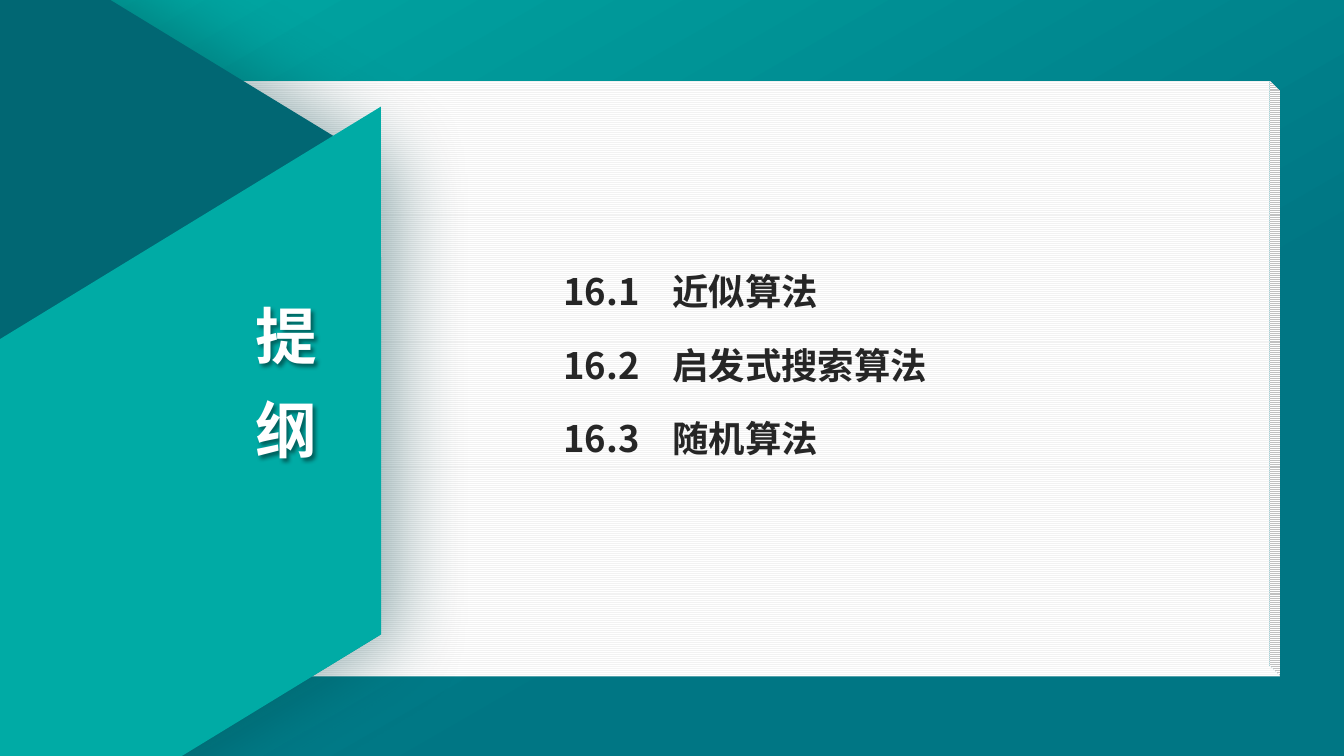
from lxml import etree
from pptx import Presentation, util as u
from pptx.dml.color import RGBColor
from pptx.enum import dml, shapes, text
from pptx.oxml import ns

COLORS = {
    "teal": "00ABA5",
    "deep_teal": "007684",
    "dark_teal": "016773",
    "panel_shadow": "013F45",
    "stripe": "F2F2F2",
    "white": "FFFFFF",
    "black": "000000",
    "ink": "262626",
}
FONT = "Noto Sans CJK SC"
TOPICS = [("16.1", "近似算法"), ("16.2", "启发式搜索算法"), ("16.3", "随机算法")]


def color(name):
    return RGBColor.from_string(COLORS[name])


def add_child(parent, tag, **attributes):
    child = etree.SubElement(parent, ns.qn(tag))
    for key, value in attributes.items():
        child.set(key, str(value))
    return child


def fill_gradient(fill, stops, angle):
    """Two (position, colour) stops; the angle runs clockwise."""
    fill.gradient()
    fill.gradient_angle = 360 - angle
    for stop, (position, name) in zip(fill.gradient_stops, stops):
        stop.position = position
        stop.color.rgb = color(name)


def add_shadow(shape, name, opacity, blur, distance, angle):
    effects = add_child(shape._element.spPr, "a:effectLst")
    shadow = add_child(effects, "a:outerShdw", blurRad=u.Pt(blur), dist=u.Pt(distance),
                       dir=angle * 60000, algn="tl", rotWithShape=0)
    shade = add_child(shadow, "a:srgbClr", val=COLORS[name])
    add_child(shade, "a:alpha", val=opacity * 1000)


def add_panel(slide, kind, box, adjustments, rotation=0):
    shape = slide.shapes.add_shape(kind, *map(u.Inches, box))
    for index, value in enumerate(adjustments):
        shape.adjustments[index] = value
    shape.rotation = rotation
    shape.line.fill.background()
    return shape


def style_font(paragraph, size, name):
    font = paragraph.font
    font.name, font.size, font.bold = FONT, u.Pt(size), True
    font.color.rgb = color(name)
    add_child(font._element, "a:ea", typeface=FONT)


def add_title(slide, words, box):
    title = slide.shapes.title
    title.left, title.top, title.width, title.height = map(u.Inches, box)
    slide.shapes._spTree.append(title._element)  # bring in front of the panels
    frame = title.text_frame
    frame.text = words
    frame.auto_size = text.MSO_AUTO_SIZE.NONE
    frame.vertical_anchor = text.MSO_ANCHOR.MIDDLE
    frame.margin_left = frame.margin_right = frame.margin_top = frame.margin_bottom = 0
    for paragraph in frame.paragraphs:
        paragraph.alignment = text.PP_ALIGN.CENTER
        paragraph.line_spacing = u.Pt(67)
        paragraph.space_before = u.Pt(0)
        style_font(paragraph, 44, "white")
    add_shadow(title, "black", 43, 3, 3, 45)


def add_outline(slide, topics, box):
    frame = slide.shapes.add_textbox(*map(u.Inches, box)).text_frame
    frame.word_wrap = True
    frame.auto_size = text.MSO_AUTO_SIZE.SHAPE_TO_FIT_TEXT
    frame.margin_top = 0
    for index, (number, topic) in enumerate(topics):
        paragraph = frame.add_paragraph() if index else frame.paragraphs[0]
        paragraph.text = f"{number}\t{topic}"
        paragraph.line_spacing = 1.5
        paragraph.space_before = u.Pt(6)
        tabs = add_child(paragraph._p.get_or_add_pPr(), "a:tabLst")
        add_child(tabs, "a:tab", pos=u.Inches(1.08), algn="l")
        style_font(paragraph, 26, "ink")


def main():
    presentation = Presentation()
    presentation.slide_width = u.Inches(13.33)
    presentation.slide_height = u.Inches(7.5)
    slide = presentation.slides.add_slide(presentation.slide_layouts[5])
    fill_gradient(slide.background.fill, [(0, "teal"), (0.67, "deep_teal")], 60)

    # Striped paper block
    paper = add_panel(slide, shapes.MSO_SHAPE.CUBE, (0, 0.8, 12.7, 5.91), [0.018])
    paper._element.spPr.xfrm.set("flipV", "1")
    paper.shadow.inherit = False
    paper.fill.patterned()
    paper.fill.pattern = dml.MSO_PATTERN.LIGHT_HORIZONTAL
    paper.fill.fore_color.rgb = color("stripe")
    paper.fill.back_color.rgb = color("white")

    # Folded panels on the left
    hexagon = add_panel(slide, shapes.MSO_SHAPE.HEXAGON, (-6.21, -0.79, 10.46, 9.51),
                        [0.305, 1.155], 90)
    fill_gradient(hexagon.fill, [(0.77, "dark_teal"), (1, "deep_teal")], 90)
    add_shadow(hexagon, "panel_shadow", 40, 55, 13, 0)

    fold = add_panel(slide, shapes.MSO_SHAPE.PARALLELOGRAM, (-2.74, 2.89, 8.29, 4.47),
                     [0.61], 328.6)
    fold.shadow.inherit = False
    fold.fill.solid()
    fold.fill.fore_color.rgb = color("teal")

    # Title and topics
    add_title(slide, "提\n纲", (2.4, 2.76, 0.87, 1.86))
    add_outline(slide, TOPICS, (5.49, 2.45, 4.23, 2.11))

    presentation.save("out.pptx")


if __name__ == "__main__":
    main()
